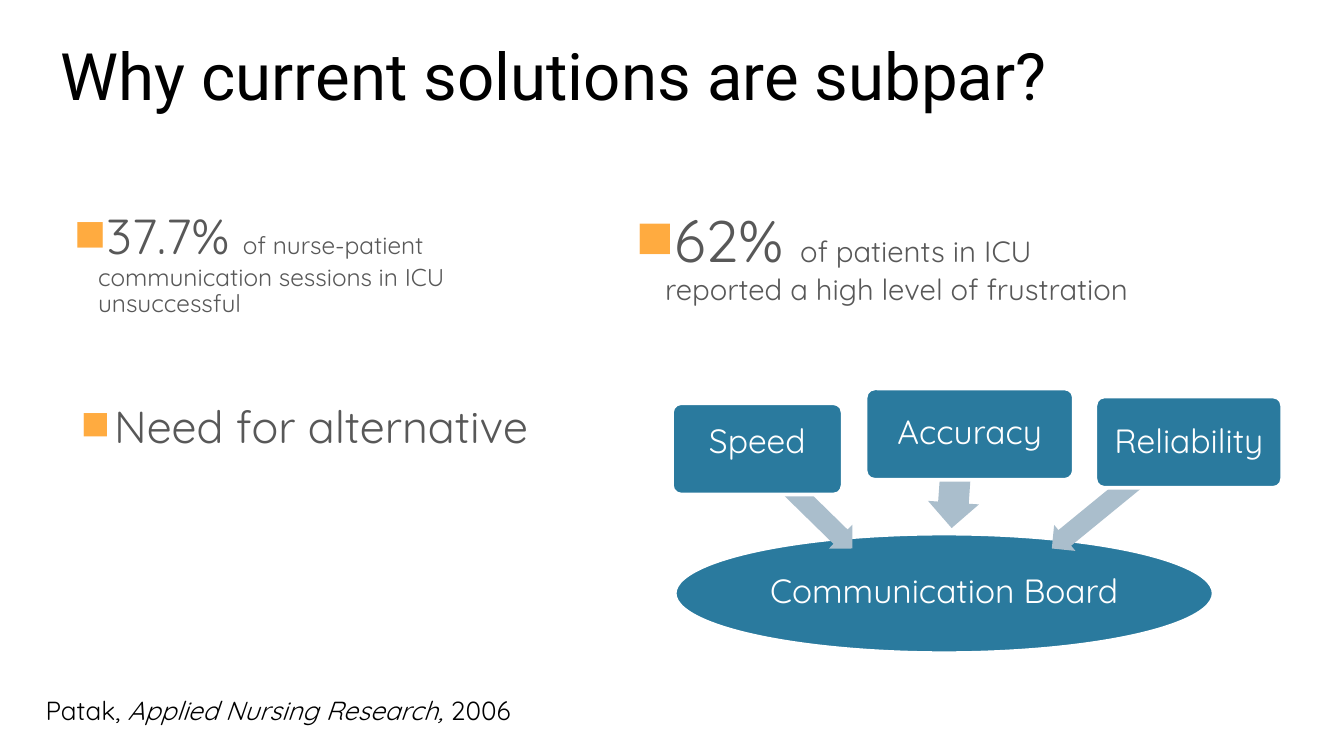
from dataclasses import dataclass
from typing import NamedTuple

from lxml.etree import SubElement
from pptx import Presentation
from pptx.dml.color import RGBColor
from pptx.enum.shapes import MSO_SHAPE
from pptx.enum.text import MSO_ANCHOR, MSO_AUTO_SIZE, PP_ALIGN
from pptx.oxml.ns import qn
from pptx.util import Inches, Pt


@dataclass(frozen=True)
class Theme:
    body: str = "Quicksand"
    head: str = "Roboto"
    black: str = "000000"
    white: str = "FFFFFF"
    grey: str = "585858"
    teal: str = "2A7A9E"
    mist: str = "AABECC"
    amber: str = "FFAB40"
    title: float = 35
    need: float = 24
    label: float = 18
    source: float = 14


class Box(NamedTuple):
    left: float
    top: float
    width: float
    height: float


class Run(NamedTuple):
    text: str
    size: float
    slant: bool = False


class Point(NamedTuple):
    box: Box
    runs: list[Run]
    hang: float
    line: float = 1
    before: float = 0


class Node(NamedTuple):
    kind: MSO_SHAPE
    box: Box
    text: str
    lift: float = 0


class Arrow(NamedTuple):
    box: Box
    turn: float


THEME = Theme()

POINTS = [
    Point(Box(0.5, 1.53, 3.9, 0.92),
          [Run("37.7% ", 26.3),
           Run("of nurse-patient communication sessions in ICU unsuccessful", 13.1)],
          0.18, 0.9, 11),
    Point(Box(4.68, 1.53, 3.9, 0.92),
          [Run("62% ", 31.3),
           Run("of patients in ICU reported a high level of frustration", 15.7)],
          0.22, 0.9, 13),
    Point(Box(0.55, 2.92, 8.47, 0.5),
          [Run("Need for alternative", THEME.need)], 0.25),
]

BOARD = Node(MSO_SHAPE.OVAL, Box(5.02, 3.97, 4.01, 0.89), "Communication Board", 0.01)

NEEDS = [
    (Arrow(Box(5.52, 3.62, 0.96, 0.25), 224.4),
     Node(MSO_SHAPE.ROUNDED_RECTANGLE, Box(5, 3, 1.27, 0.68), "Speed", 0.09)),
    (Arrow(Box(6.83, 3.47, 0.54, 0.38), 274),
     Node(MSO_SHAPE.ROUNDED_RECTANGLE, Box(6.44, 2.89, 1.55, 0.68), "Accuracy")),
    (Arrow(Box(7.71, 3.63, 1.03, 0.25), 320.7),
     Node(MSO_SHAPE.ROUNDED_RECTANGLE, Box(8.15, 2.95, 1.39, 0.68), "Reliability")),
]

SOURCE = [
    Run("Patak, ", THEME.source),
    Run("Applied Nursing Research, ", THEME.source, True),
    Run("2006", THEME.source),
]


def place(box: Box) -> list[int]:
    return [Inches(side) for side in box]


def write(shape, runs: list[Run], *, font: str = THEME.body, color: str = THEME.black,
          align=PP_ALIGN.LEFT, anchor=MSO_ANCHOR.TOP, inset: float = 0,
          line: float = 1, before: float = 0, wrap: bool = True):
    frame = shape.text_frame
    frame.word_wrap = wrap
    frame.auto_size = MSO_AUTO_SIZE.NONE
    frame.vertical_anchor = anchor
    frame.margin_left = frame.margin_right = Inches(inset)
    frame.margin_top = frame.margin_bottom = Inches(inset)
    para = frame.paragraphs[0]
    para.alignment = align
    para.line_spacing = line
    para.space_before = Pt(before)
    for item in runs:
        run = para.add_run()
        run.text = item.text
        run.font.name = font
        run.font.size = Pt(item.size)
        run.font.italic = item.slant
        run.font.color.rgb = RGBColor.from_string(color)
    return para


def mark(para, hang: float) -> None:
    props = para._p.get_or_add_pPr()
    props.set("marL", str(Inches(hang)))
    props.set("indent", str(-Inches(hang)))
    tint = SubElement(props, qn("a:buClr"))
    SubElement(tint, qn("a:srgbClr"), val=THEME.amber)
    SubElement(props, qn("a:buSzPct"), val="80000")
    SubElement(props, qn("a:buChar"), char="◼")


def draw_point(slide, point: Point) -> None:
    text = slide.shapes.add_textbox(*place(point.box))
    para = write(text, point.runs, color=THEME.grey, inset=0.05,
                 line=point.line, before=point.before)
    mark(para, point.hang)


def draw_shape(slide, kind: MSO_SHAPE, box: Box, fill: str):
    shape = slide.shapes.add_shape(kind, *place(box))
    shape.shadow.inherit = False
    shape.fill.solid()
    shape.fill.fore_color.rgb = RGBColor.from_string(fill)
    return shape


def draw_node(slide, node: Node) -> None:
    shape = draw_shape(slide, node.kind, node.box, THEME.teal)
    shape.line.color.rgb = RGBColor.from_string(THEME.white)
    shape.line.width = Pt(2)
    if node.kind == MSO_SHAPE.ROUNDED_RECTANGLE:
        shape.adjustments[0] = 0.1
    write(shape, [Run(node.text, THEME.label)], color=THEME.white,
          align=PP_ALIGN.CENTER, anchor=MSO_ANCHOR.MIDDLE, line=0.9)
    shape.text_frame.margin_bottom = Inches(node.lift)


def draw_arrow(slide, arrow: Arrow) -> None:
    shape = draw_shape(slide, MSO_SHAPE.LEFT_ARROW, arrow.box, THEME.mist)
    shape.line.fill.background()
    shape.adjustments[0] = 0.6
    shape.adjustments[1] = 0.5
    shape.rotation = arrow.turn


def main() -> None:
    deck = Presentation()
    deck.slide_width = Inches(10)
    deck.slide_height = deck.slide_width * 9 // 16
    slide = deck.slides.add_slide(deck.slide_layouts[5])

    title = slide.shapes.title
    title.left, title.top, title.width, title.height = place(Box(0.45, 0.26, 7.48, 0.59))
    write(title, [Run("Why current solutions are subpar?", THEME.title)],
          font=THEME.head, wrap=False)

    for point in POINTS:
        draw_point(slide, point)
    draw_node(slide, BOARD)
    for arrow, node in NEEDS:
        draw_arrow(slide, arrow)
        draw_node(slide, node)

    note = slide.shapes.add_textbox(*place(Box(0.24, 5.07, 5.68, 0.44)))
    write(note, SOURCE, inset=0.1)
    deck.save("out.pptx")


if __name__ == "__main__":
    main()
